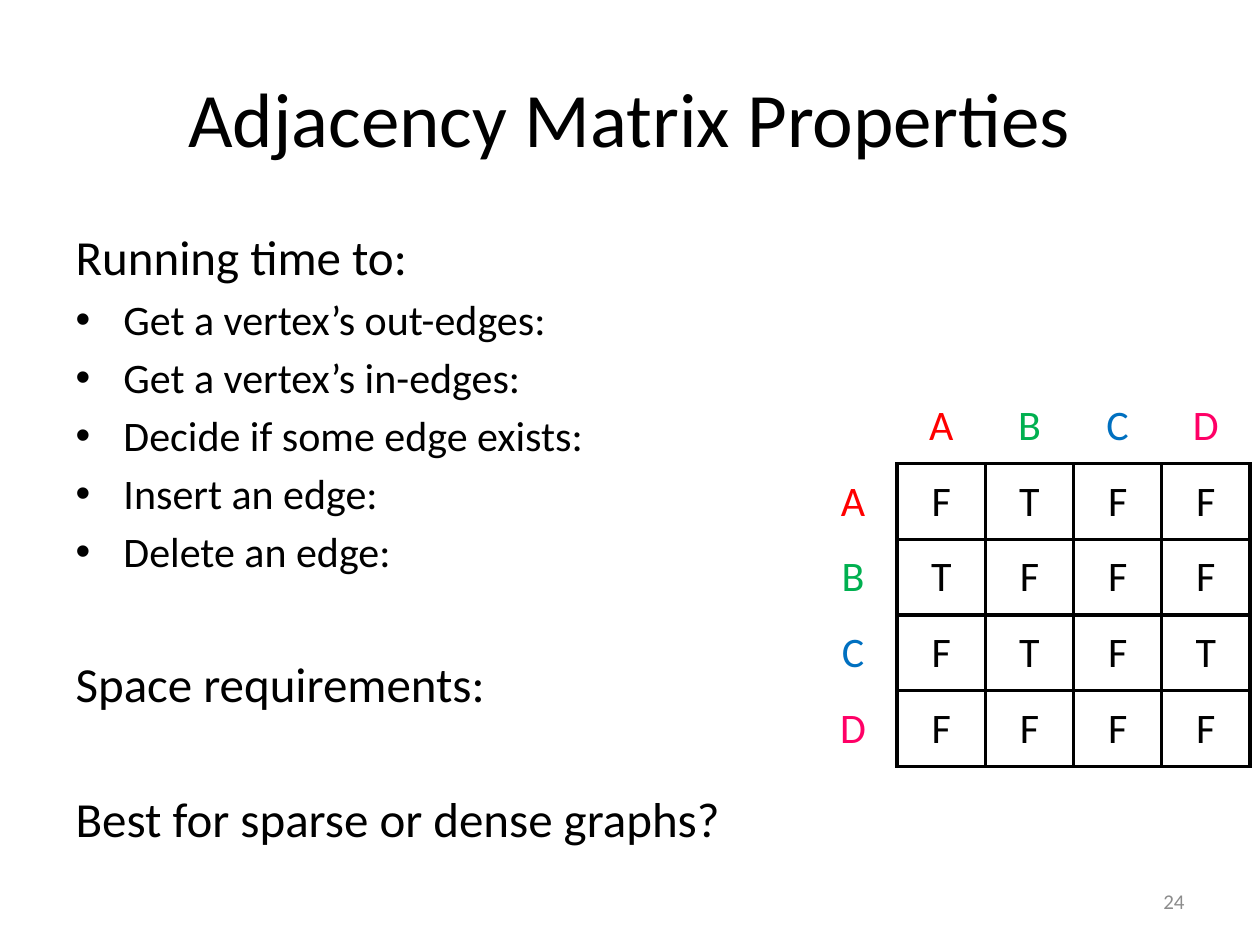
"""Build the slide on the properties of an adjacency matrix."""
from lxml import etree
from pptx import Presentation, util as u
from pptx.dml.color import RGBColor
from pptx.enum import text
from pptx.oxml import ns

COLORS = {"ink": "000000", "number": "8C8C8C", "A": "FF0000",
          "B": "00B050", "C": "0070C0", "D": "FF0066"}
VERTICES = "ABCD"
MATRIX = ["FTFF", "TFFF", "FTFT", "FFFF"]
BODY = [("Running time to:", False, 0),
        ("Get a vertex’s out-edges:", True, 4.4),
        ("Get a vertex’s in-edges:", True, 4.4),
        ("Decide if some edge exists:", True, 4.4),
        ("Insert an edge:", True, 4.4),
        ("Delete an edge:", True, 4.4),
        ("Space requirements:", False, 44),
        ("Best for sparse or dense graphs?", False, 44)]


class SlideBuilder:
    """Hold the style and the current slide."""

    font = "Calibri"
    border_width = u.Pt(2.25)

    def __init__(self, presentation):
        self.slide = presentation.slides.add_slide(presentation.slide_layouts[1])

    def place(self, shape, left, top, width, height):
        shape.left, shape.top = u.Inches(left), u.Inches(top)
        shape.width, shape.height = u.Inches(width), u.Inches(height)

    def style_text(self, paragraph, wording, size, color="ink", align=None):
        paragraph.text = wording
        paragraph.alignment = align
        for run in paragraph.runs:
            run.font.name = self.font
            run.font.size = u.Pt(size)
            run.font.color.rgb = RGBColor.from_string(COLORS[color])

    def title(self, wording):
        shape = self.slide.shapes.title
        self.place(shape, 0.5, 0.3, 9, 1.25)
        shape.text_frame.vertical_anchor = text.MSO_ANCHOR.MIDDLE
        self.style_text(shape.text_frame.paragraphs[0], wording, 44,
                        align=text.PP_ALIGN.CENTER)

    def body(self, items):
        shape = self.slide.placeholders[1]
        self.place(shape, 0.5, 1.75, 9, 4.95)
        frame = shape.text_frame
        frame.auto_size = text.MSO_AUTO_SIZE.NONE
        for index, (wording, bulleted, space) in enumerate(items):
            paragraph = frame.add_paragraph() if index else frame.paragraphs[0]
            self.bullet(paragraph, bulleted)
            paragraph.space_before = u.Pt(space)
            self.style_text(paragraph, wording, 24 if bulleted else 28)

    def bullet(self, paragraph, shown):
        properties = paragraph._p.get_or_add_pPr()
        indent = u.Inches(0.38) if shown else 0
        properties.set("marL", str(indent))
        properties.set("indent", str(-indent))
        if shown:
            etree.SubElement(properties, ns.qn("a:buFont"), typeface="Arial")
            etree.SubElement(properties, ns.qn("a:buChar"), char="•")
        else:
            etree.SubElement(properties, ns.qn("a:buNone"))

    def slide_number(self, wording):
        shape = self.slide.shapes.add_textbox(
            u.Inches(7.17), u.Inches(6.95), u.Inches(2.33), u.Inches(0.4))
        shape.text_frame.word_wrap = True
        shape.text_frame.vertical_anchor = text.MSO_ANCHOR.MIDDLE
        self.style_text(shape.text_frame.paragraphs[0], wording, 12, "number",
                        text.PP_ALIGN.RIGHT)

    def matrix(self, vertices, values):
        count = len(vertices) + 1
        table = self.slide.shapes.add_table(
            count, count, u.Inches(6.42), u.Inches(3.08),
            u.Inches(0.7 * count), u.Inches(0.6 * count)).table
        table.first_row = table.horz_banding = False
        rows = [" " + vertices] + [v + line for v, line in zip(vertices, values)]
        for r, line in enumerate(rows):
            for c, letter in enumerate(line):
                inside = r > 0 and c > 0
                sides = "LRTB" if inside else "R" if r else "B" if c else ""
                self.cell(table.cell(r, c), letter.strip(), sides,
                          "ink" if inside or not letter.strip() else letter)

    def cell(self, cell, wording, sides, color):
        cell.margin_left = cell.margin_right = u.Inches(0.1)
        cell.margin_top = cell.margin_bottom = u.Inches(0.1)
        cell.vertical_anchor = text.MSO_ANCHOR.MIDDLE
        properties = cell._tc.get_or_add_tcPr()
        for side in "LRTB":
            line = etree.SubElement(properties, ns.qn(f"a:ln{side}"))
            if side in sides:
                line.set("w", str(self.border_width))
                fill = etree.SubElement(line, ns.qn("a:solidFill"))
                etree.SubElement(fill, ns.qn("a:srgbClr"), val=COLORS["ink"])
            else:
                etree.SubElement(line, ns.qn("a:noFill"))
        cell.fill.background()
        self.style_text(cell.text_frame.paragraphs[0], wording, 24, color,
                        text.PP_ALIGN.CENTER)


def main():
    presentation = Presentation()
    presentation.slide_width = u.Inches(10)
    presentation.slide_height = u.Inches(7.5)
    builder = SlideBuilder(presentation)
    builder.title("Adjacency Matrix Properties")
    builder.body(BODY)
    builder.slide_number("24")
    builder.matrix(VERTICES, MATRIX)
    presentation.save("out.pptx")


if __name__ == "__main__":
    main()
